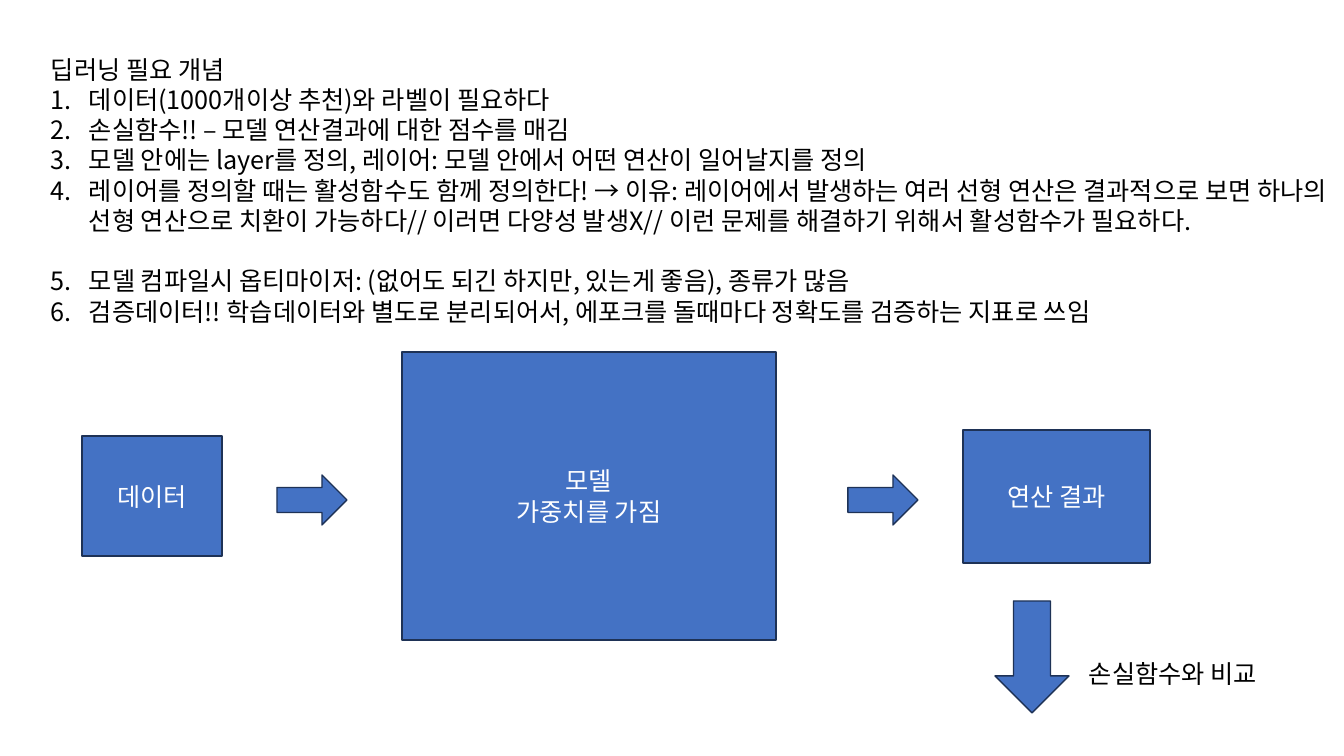
import dataclasses

import pptx
import pptx.dml.color
import pptx.enum.shapes
import pptx.enum.text
import pptx.oxml
import pptx.oxml.ns
import pptx.util

PX = 9071.43  # EMU per pixel, 100.8 pixels to the inch
KIND = pptx.enum.shapes.MSO_SHAPE
ALIGN = pptx.enum.text.PP_ALIGN
ANCHOR = pptx.enum.text.MSO_ANCHOR


@dataclasses.dataclass(frozen=True)
class Theme:
    """Colours, font and type sizes of the slide."""
    font: str = "Noto Sans CJK KR"
    size: float = 18
    pitch: float = 21.6
    edge: float = 1
    ink: str = "000000"
    light: str = "FFFFFF"
    fill: str = "4472C4"
    line: str = "1E3256"


theme = Theme()
rgb = pptx.dml.color.RGBColor.from_string


def place(*box):
    """Turn pixel lengths into EMU."""
    return [pptx.util.Emu(round(n * PX)) for n in box]


def write(frame, lines, color, align=ALIGN.LEFT):
    """Fill a text frame with one paragraph per line."""
    frame.word_wrap = True
    for i, line in enumerate(lines):
        para = frame.add_paragraph() if i else frame.paragraphs[0]
        para.alignment = align
        para.line_spacing = pptx.util.Pt(theme.pitch)
        run = para.add_run()
        run.text = line
        run.font.name = theme.font
        run.font.size = pptx.util.Pt(theme.size)
        run.font.color.rgb = rgb(color)
        east = pptx.oxml.parse_xml(
            f'<a:ea {pptx.oxml.ns.nsdecls("a")} typeface="{theme.font}"/>')
        run.font._element.append(east)


deck = pptx.Presentation()
deck.slide_width, deck.slide_height = place(1344, 756)
slide = deck.slides.add_slide(deck.slide_layouts[6])
shapes = slide.shapes

# Concept list
head = "딥러닝 필요 개념"
items = [
    "데이터(1000개이상 추천)와 라벨이 필요하다",
    "손실함수!! – 모델 연산결과에 대한 점수를 매김",
    "모델 안에는 layer를 정의, 레이어: 모델 안에서 어떤 연산이 일어날지를 정의",
    "레이어를 정의할 때는 활성함수도 함께 정의한다! → 이유: 레이어에서 발생하는 "
    "여러 선형 연산은 결과적으로 보면 하나의 선형 연산으로 치환이 가능하다// "
    "이러면 다양성 발생X// 이런 문제를 해결하기 위해서 활성함수가 필요하다.",
    "모델 컴파일시 옵티마이저: (없어도 되긴 하지만, 있는게 좋음), 종류가 많음",
    "검증데이터!! 학습데이터와 별도로 분리되어서, 에포크를 돌때마다 정확도를 "
    "검증하는 지표로 쓰임",
]
notes = shapes.add_textbox(*place(41, 49, 1302, 315)).text_frame
write(notes, [head, *items], theme.ink)
indent = place(38)[0]
for para in notes.paragraphs[1:]:
    props = para._p.get_or_add_pPr()
    props.set("marL", str(indent))
    props.set("indent", str(-indent))
    props.append(pptx.oxml.parse_xml(
        f'<a:buAutoNum {pptx.oxml.ns.nsdecls("a")} type="arabicPeriod"/>'))
notes.paragraphs[5].space_before = pptx.util.Pt(theme.pitch)

# Flow: data, model, result, loss
flow = [
    (KIND.RECTANGLE, (402, 352, 374, 288), ["모델", "가중치를 가짐"]),
    (KIND.RECTANGLE, (82, 436, 140, 120), ["데이터"]),
    (KIND.RIGHT_ARROW, (277, 475, 70, 50), []),
    (KIND.RIGHT_ARROW, (848, 475, 70, 50), []),
    (KIND.RECTANGLE, (963, 430, 187, 133), ["연산 결과"]),
    (KIND.DOWN_ARROW, (995, 601, 74, 112), []),
]
for kind, box, lines in flow:
    shape = shapes.add_shape(kind, *place(*box))
    shape.shadow.inherit = False
    shape.fill.solid()
    shape.fill.fore_color.rgb = rgb(theme.fill)
    shape.line.color.rgb = rgb(theme.line)
    shape.line.width = pptx.util.Pt(theme.edge)
    shape.text_frame.vertical_anchor = ANCHOR.MIDDLE
    write(shape.text_frame, lines, theme.light, ALIGN.CENTER)

label = shapes.add_textbox(*place(1079, 653, 208, 40)).text_frame
write(label, ["손실함수와 비교"], theme.ink)

deck.save("out.pptx")
